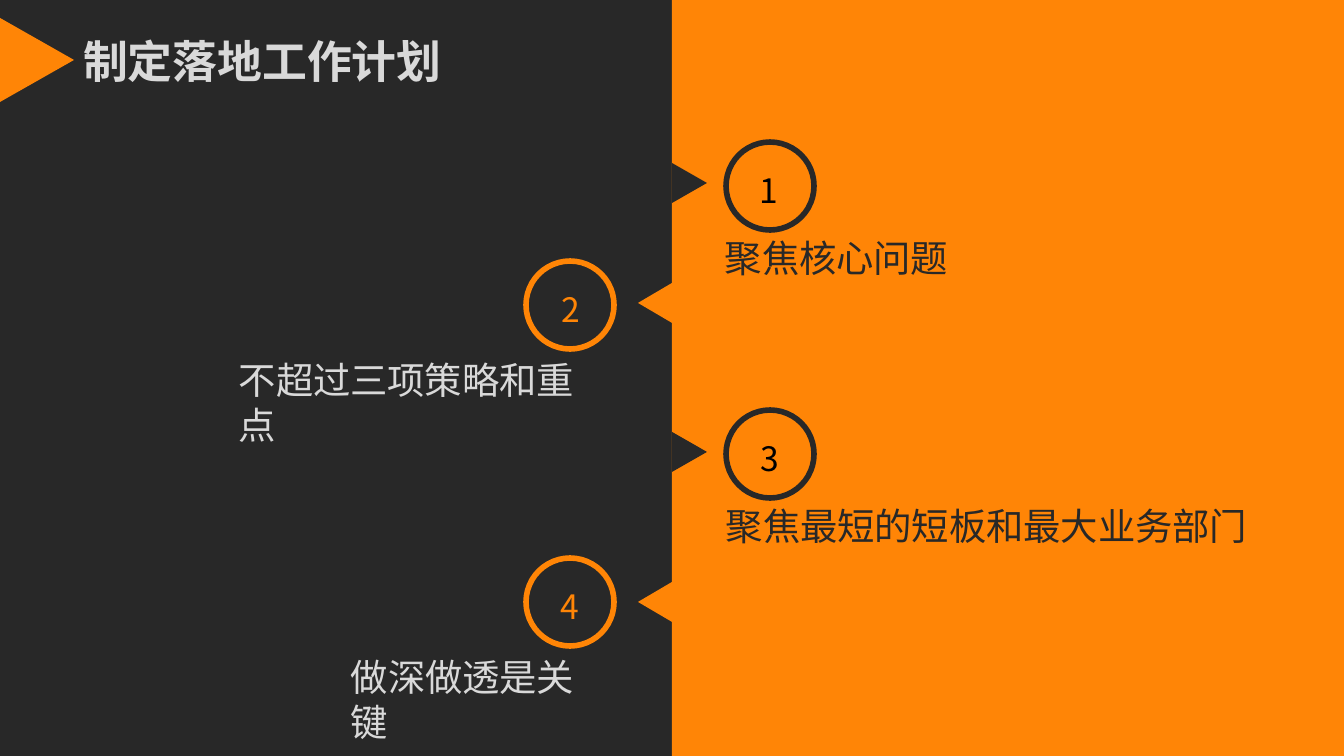
from lxml import etree
from pptx import Presentation
from pptx.dml.color import RGBColor
from pptx.enum.shapes import MSO_SHAPE
from pptx.enum.text import MSO_ANCHOR, PP_ALIGN
from pptx.oxml.ns import qn
from pptx.util import Pt

RECTANGLE, OVAL = MSO_SHAPE.RECTANGLE, MSO_SHAPE.OVAL
LEFT, RIGHT, TOP = PP_ALIGN.LEFT, PP_ALIGN.RIGHT, MSO_ANCHOR.TOP
EMU_PER_PX = 9144000 / 1344
FONT = "Noto Sans CJK SC"
DARK, ORANGE, LIGHT, BLACK = "282828", "FF8506", "D9D9D9", "000000"
FRAME_FORMAT = {"margin_left": 0, "margin_right": 0, "margin_top": 0, "margin_bottom": 0,
                "word_wrap": True, "vertical_anchor": TOP}


def px(*lengths):
    return [round(length * EMU_PER_PX) for length in lengths]


def write_paragraph(paragraph, text, size, color, bold=False, align=LEFT,
                    before=0, indents=(1, 0), tracking=0):
    paragraph_format = {"alignment": align, "space_before": Pt(before),
                        "line_spacing": Pt(size * 1.2)}
    for name, value in paragraph_format.items():
        setattr(paragraph, name, value)
    properties = paragraph._p.get_or_add_pPr()
    for name, value in zip(("marL", "marR"), px(*indents)):
        properties.set(name, str(value))
    properties.set("indent", "0")
    run = paragraph.add_run()
    run.text = text
    run.font.color.rgb = RGBColor.from_string(color)
    for name, value in {"size": Pt(size), "bold": bold, "name": FONT}.items():
        setattr(run.font, name, value)
    run_properties = run._r.get_or_add_rPr()
    run_properties.set("spc", str(tracking))
    etree.SubElement(run_properties, qn("a:ea")).set("typeface", FONT)


presentation = Presentation()
presentation.slide_width, presentation.slide_height = px(1344, 756)
slide = presentation.slides.add_slide(presentation.slide_layouts[5])
shapes = slide.shapes

for left, color in ((0, DARK), (672, ORANGE)):
    panel = shapes.add_shape(RECTANGLE, *px(left, 0, 672, 756))
    panel.shadow.inherit = False
    panel.fill.solid()
    panel.fill.fore_color.rgb = RGBColor.from_string(color)
    panel.line.fill.background()

arrows = [
    (0, 18, 84, 74, ORANGE),
    (672, 163, 40, 35, DARK),
    (672, 432, 40, 35, DARK),
    (672, 283, 40, -34, ORANGE),
    (672, 582, 40, -34, ORANGE),
]
for base, top, height, reach, color in arrows:
    builder = shapes.build_freeform(base, top, scale=EMU_PER_PX)
    builder.add_line_segments([(base, top + height), (base + reach, top + height / 2)])
    arrow = builder.convert_to_shape()
    arrow.shadow.inherit = False
    arrow.fill.solid()
    arrow.fill.fore_color.rgb = RGBColor.from_string(color)
    arrow.line.fill.background()

title = shapes.title
title.left, title.top, title.width, title.height = px(82, 34, 363, 58)
for name, value in FRAME_FORMAT.items():
    setattr(title.text_frame, name, value)
write_paragraph(title.text_frame.paragraphs[0], "制定落地工作计划", 24, LIGHT, bold=True)
shapes._spTree.append(title._element)

right_style = {"circle_left": 726, "fill": ORANGE, "line": DARK, "number": BLACK,
               "text": DARK, "align": LEFT, "before": 13.2,
               "number_indents": (36, 0), "text_indents": (1, 0)}
left_style = {"circle_left": 526, "fill": DARK, "line": ORANGE, "number": ORANGE,
              "text": LIGHT, "align": RIGHT, "before": 14.9,
              "number_indents": (0, 36), "text_indents": (1, 36)}
steps = [
    ("聚焦核心问题", right_style, 142, 724, 227),
    ("不超过三项策略和重点", left_style, 261, 238, 378),
    ("聚焦最短的短板和最大业务部门", right_style, 410, 725, 527),
    ("做深做透是关键", left_style, 558, 350, 265),
]
for number, (text, style, circle_top, text_left, text_width) in enumerate(steps, 1):
    circle = shapes.add_shape(OVAL, *px(style["circle_left"], circle_top, 88, 88))
    circle.shadow.inherit = False
    circle.fill.solid()
    circle.fill.fore_color.rgb = RGBColor.from_string(style["fill"])
    circle.line.color.rgb = RGBColor.from_string(style["line"])
    circle.line.width = Pt(3)

    text_box = shapes.add_textbox(*px(text_left, circle_top + 28, text_width, 115))
    frame = text_box.text_frame
    for name, value in FRAME_FORMAT.items():
        setattr(frame, name, value)
    write_paragraph(frame.paragraphs[0], str(number), 18, style["number"],
                    align=style["align"], indents=style["number_indents"])
    write_paragraph(frame.add_paragraph(), text, 20, style["text"],
                    before=style["before"], indents=style["text_indents"], tracking=-10)

presentation.save("out.pptx")
